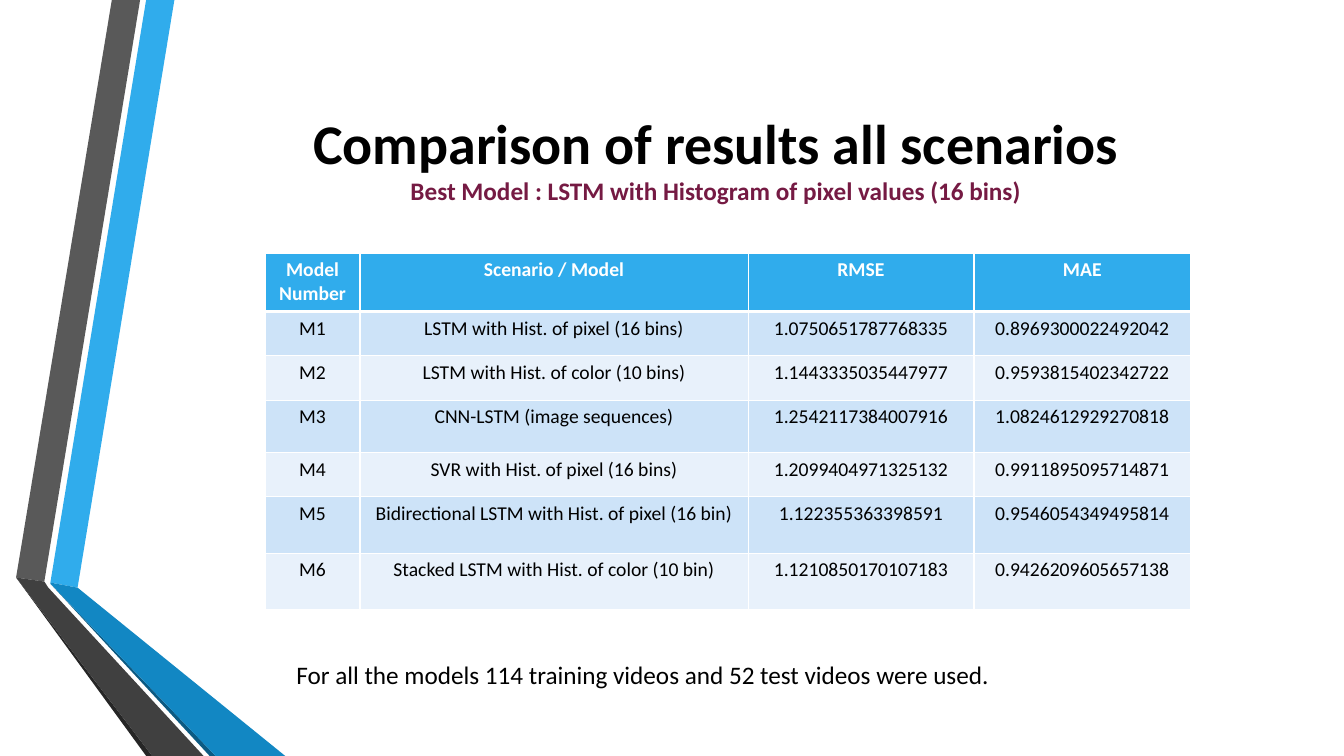
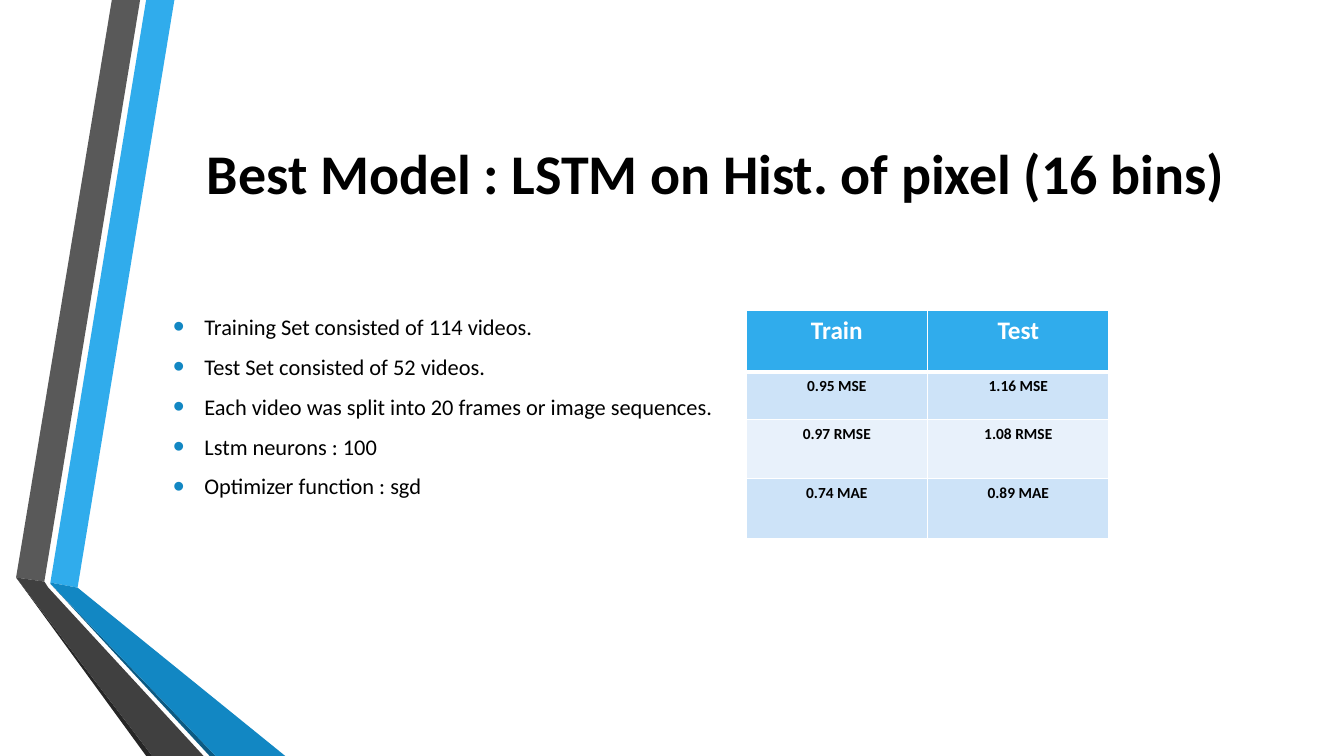
"""Build two slides comparing video model scenarios and detailing the best one."""
import dataclasses

import lxml.etree
import pptx
import pptx.dml.color
import pptx.enum.text
import pptx.oxml.ns
import pptx.util

Inches = pptx.util.Inches
Pt = pptx.util.Pt
Color = pptx.dml.color.RGBColor.from_string
qn = pptx.oxml.ns.qn


@dataclasses.dataclass(frozen=True)
class Theme:
    font: str = "Calibri"
    text: str = "000000"
    white: str = "FFFFFF"
    highlight: str = "751A43"
    blue: str = "30ACEC"
    deep_blue: str = "1287C3"
    shadow_blue: str = "0C5A82"
    gray: str = "595959"
    dark_gray: str = "404040"
    shadow_gray: str = "262626"
    row_fills: tuple = ("CDE3F8", "E8F1FB")
    title_size: int = 40
    large_size: int = 18
    body_size: int = 16
    table_size: int = 14
    small_size: int = 11


theme = Theme()
bands = [
    (theme.blue, [(0.5, 5.78), (0.77, 5.83), (1.73, 0), (1.45, 0)]),
    (theme.gray, [(1.39, 0), (1.11, 0), (0.16, 5.73), (0.44, 5.77)]),
    (theme.shadow_gray, [(0.16, 5.73), (1.45, 7.5), (1.51, 7.5)]),
    (theme.shadow_blue, [(0.5, 5.79), (2.08, 7.5), (2.14, 7.5)]),
    (theme.deep_blue, [(0.5, 5.79), (2.14, 7.5), (2.83, 7.5), (0.77, 5.83), (0.5, 5.78)]),
    (theme.dark_gray, [(2.02, 7.5), (0.48, 5.83), (0.44, 5.77), (0.16, 5.73), (1.51, 7.5)]),
]
slide_contents = [
    {
        "title_height": 1.62,
        "title": [
            ("Comparison of results all scenarios", theme.title_size, theme.text),
            ("Best Model : LSTM with Histogram of pixel values (16 bins)",
             theme.large_size, theme.highlight),
        ],
        "body": ["For all the models 114 training videos and 52 test videos were used."],
        "body_box": (2.84, 6.49, 8.21, 0.4),
        "body_size": theme.large_size,
        "bulleted": False,
        "table_origin": (2.63, 2.51),
        "columns": [0.94, 3.85, 2.24, 2.15],
        "row_heights": [0.58, 0.44, 0.44, 0.52, 0.44, 0.56, 0.56],
        "header_size": theme.table_size,
        "cell_size": theme.table_size,
        "cell_bold": False,
        "rows": [
            ("Model Number", "Scenario / Model", "RMSE", "MAE"),
            ("M1", "LSTM with Hist. of pixel (16 bins)", "1.0750651787768335", "0.8969300022492042"),
            ("M2", "LSTM with Hist. of color (10 bins)", "1.1443335035447977", "0.9593815402342722"),
            ("M3", "CNN-LSTM (image sequences)", "1.2542117384007916", "1.0824612929270818"),
            ("M4", "SVR with Hist. of pixel (16 bins)", "1.2099404971325132", "0.9911895095714871"),
            ("M5", "Bidirectional LSTM with Hist. of pixel (16 bin)", "1.122355363398591",
             "0.9546054349495814"),
            ("M6", "Stacked LSTM with Hist. of color (10 bin)", "1.1210850170107183",
             "0.9426209605657138"),
        ],
    },
    {
        "title_height": 1.92,
        "title": [("Best Model : LSTM on Hist. of pixel (16 bins)", theme.title_size, theme.text)],
        "body": [
            "Training Set consisted of 114 videos.",
            "Test Set consisted of 52 videos.",
            "Each video was split into 20 frames or image sequences.",
            "Lstm neurons : 100",
            "Optimizer function : sgd",
        ],
        "body_box": (1.62, 3.06, 5.7, 2.1),
        "body_size": theme.body_size,
        "bulleted": True,
        "table_origin": (7.4, 3.08),
        "columns": [1.8, 1.8],
        "row_heights": [0.61, 0.47, 0.59, 0.59],
        "header_size": theme.large_size,
        "cell_size": theme.small_size,
        "cell_bold": True,
        "rows": [
            ("Train", "Test"),
            ("0.95 MSE", "1.16 MSE"),
            ("0.97 RMSE", "1.08 RMSE"),
            ("0.74 MAE", "0.89 MAE"),
        ],
    },
]


def style_paragraph(paragraph, size, color, bold=False, centered=False):
    """Set the font and alignment of a paragraph."""
    font = paragraph.font
    font.name, font.size, font.bold = theme.font, Pt(size), bold
    font.color.rgb = Color(color)
    if centered:
        paragraph.alignment = pptx.enum.text.PP_ALIGN.CENTER


def add_bullet(paragraph):
    """Give a paragraph a hanging coloured bullet."""
    properties = paragraph._p.get_or_add_pPr()
    properties.set("marL", str(Inches(0.31)))
    properties.set("indent", str(-Inches(0.31)))
    bullet_color = lxml.etree.SubElement(properties, qn("a:buClr"))
    lxml.etree.SubElement(bullet_color, qn("a:srgbClr"), val=theme.deep_blue)
    lxml.etree.SubElement(properties, qn("a:buSzPct"), val="145000")
    lxml.etree.SubElement(properties, qn("a:buFont"), typeface="Arial")
    lxml.etree.SubElement(properties, qn("a:buChar"), char="•")


presentation = pptx.Presentation()
presentation.slide_width = Inches(13.33)
presentation.slide_height = Inches(7.5)

for content in slide_contents:
    slide = presentation.slides.add_slide(presentation.slide_layouts[6])

    for color, points in bands:
        corners = [(Inches(x), Inches(y)) for x, y in points]
        builder = slide.shapes.build_freeform(*corners[0])
        builder.add_line_segments(corners[1:], close=True)
        band = builder.convert_to_shape()
        band.shadow.inherit = False
        band.fill.solid()
        band.fill.fore_color.rgb = Color(color)
        band.line.fill.background()

    title = slide.shapes.add_textbox(
        Inches(1.62), Inches(0.75), Inches(10.96), Inches(content["title_height"]))
    title.text_frame.word_wrap = True
    title.text_frame.vertical_anchor = pptx.enum.text.MSO_ANCHOR.MIDDLE
    title.text_frame.text = "\n".join(text for text, size, color in content["title"])
    for paragraph, (text, size, color) in zip(title.text_frame.paragraphs, content["title"]):
        style_paragraph(paragraph, size, color, bold=True, centered=True)

    body = slide.shapes.add_textbox(*map(Inches, content["body_box"]))
    body.text_frame.word_wrap = True
    body.text_frame.text = "\n".join(content["body"])
    for index, paragraph in enumerate(body.text_frame.paragraphs):
        if content["bulleted"]:
            paragraph.space_before = Pt(3.2 if index else 0)
            paragraph.space_after = Pt(6)
            add_bullet(paragraph)
        style_paragraph(paragraph, content["body_size"], theme.text)

    columns, row_heights = content["columns"], content["row_heights"]
    left, top = content["table_origin"]
    table = slide.shapes.add_table(
        len(row_heights), len(columns), Inches(left), Inches(top),
        Inches(sum(columns)), Inches(sum(row_heights))).table
    for column, width in zip(table.columns, columns):
        column.width = Inches(width)
    for row_index, (row, height) in enumerate(zip(table.rows, row_heights)):
        row.height = Inches(height)
        is_header = row_index == 0
        fill = theme.blue if is_header else theme.row_fills[(row_index - 1) % 2]
        border_widths = {
            "a:lnL": 1, "a:lnR": 1,
            "a:lnT": 3 if row_index == 1 else 1,
            "a:lnB": 3 if is_header else 1,
        }
        for cell, text in zip(row.cells, content["rows"][row_index]):
            properties = cell._tc.get_or_add_tcPr()
            for tag, width in border_widths.items():
                border = lxml.etree.SubElement(properties, qn(tag), w=str(Pt(width)))
                border_fill = lxml.etree.SubElement(border, qn("a:solidFill"))
                lxml.etree.SubElement(border_fill, qn("a:srgbClr"), val=theme.white)
            cell.fill.solid()
            cell.fill.fore_color.rgb = Color(fill)
            cell.text = text
            style_paragraph(
                cell.text_frame.paragraphs[0],
                content["header_size"] if is_header else content["cell_size"],
                theme.white if is_header else theme.text,
                bold=is_header or content["cell_bold"], centered=True)

presentation.save("out.pptx")
